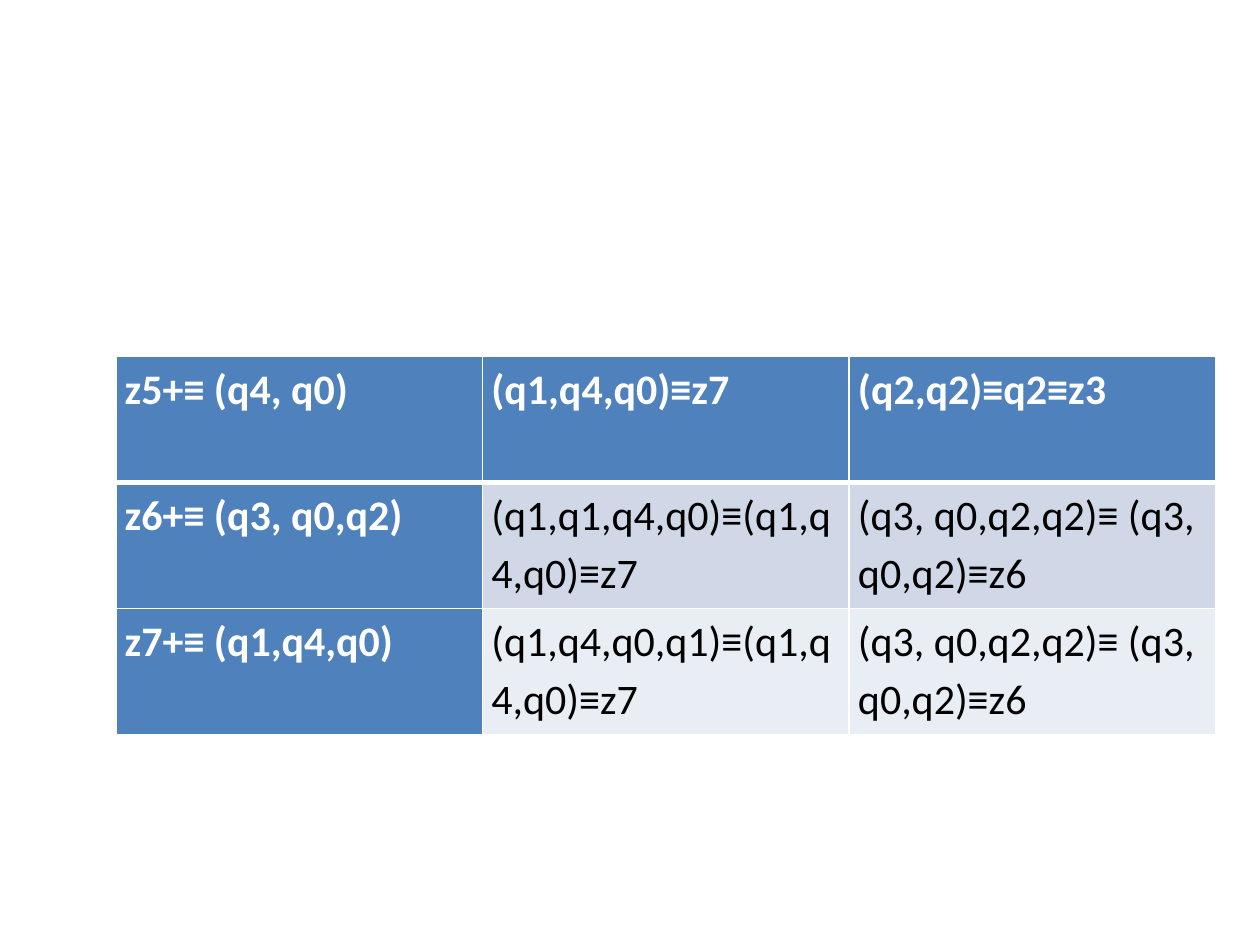
from dataclasses import dataclass

from lxml import etree
from pptx import Presentation
from pptx.dml.color import RGBColor
from pptx.oxml.ns import qn
from pptx.util import Inches, Pt


@dataclass(frozen=True)
class Theme:
    font: str = "Calibri"
    size: int = 24
    line_spacing: float = 1.15
    header: str = "4F81BD"
    bands: tuple = ("D0D8E8", "E9EDF4")
    light: str = "FFFFFF"
    dark: str = "000000"
    border: int = 1
    header_border: int = 3


THEME = Theme()

TRANSITIONS = [
    ["z5+≡ (q4, q0)", "(q1,q4,q0)≡z7", "(q2,q2)≡q2≡z3"],
    ["z6+≡ (q3, q0,q2)", "(q1,q1,q4,q0)≡(q1,q4,q0)≡z7", "(q3, q0,q2,q2)≡ (q3, q0,q2)≡z6"],
    ["z7+≡ (q1,q4,q0)", "(q1,q4,q0,q1)≡(q1,q4,q0)≡z7", "(q3, q0,q2,q2)≡ (q3, q0,q2)≡z6"],
]


def write_text(frame, text, *, color, bold=False):
    para = frame.paragraphs[0]
    para.line_spacing = THEME.line_spacing
    span = para.add_run()
    span.text = text
    span.font.name = THEME.font
    span.font.size = Pt(THEME.size)
    span.font.bold = bold
    span.font.color.rgb = RGBColor.from_string(color)


def set_borders(cell, **widths):
    """Draw cell borders; widths maps the sides L, R, T, B, in that order, to points."""
    properties = cell._tc.get_or_add_tcPr()
    for index, (side, width) in enumerate(widths.items()):
        line = etree.Element(qn(f"a:ln{side}"), w=str(Pt(width)))
        fill = etree.SubElement(line, qn("a:solidFill"))
        etree.SubElement(fill, qn("a:srgbClr"), val=THEME.light)
        properties.insert(index, line)


def style_cell(cell, text, row, column):
    is_header = row == 0 or column == 0
    fill = THEME.header if is_header else THEME.bands[(row - 1) % 2]
    cell.fill.solid()
    cell.fill.fore_color.rgb = RGBColor.from_string(fill)
    cell.margin_left = cell.margin_right = Inches(0.07)
    cell.margin_top = cell.margin_bottom = 0
    write_text(cell.text_frame, text,
               color=THEME.light if is_header else THEME.dark, bold=is_header)
    set_borders(cell, L=THEME.border, R=THEME.border,
                T=THEME.header_border if row == 1 else THEME.border,
                B=THEME.header_border if row == 0 else THEME.border)


def add_transition_table(page, rows, left, top, width, height):
    column_count = len(rows[0])
    table = page.shapes.add_table(len(rows), column_count, left, top, width, height).table
    table.first_row = table.first_col = table.horz_banding = True
    for row, texts in enumerate(rows):
        for column, text in enumerate(texts):
            style_cell(table.cell(row, column), text, row, column)


def main():
    deck = Presentation()
    deck.slide_width, deck.slide_height = Inches(10), Inches(7.5)
    page = deck.slides.add_slide(deck.slide_layouts[6])
    add_transition_table(page, TRANSITIONS, Inches(0.92), Inches(2.83), Inches(8.73), Inches(3))
    deck.save("out.pptx")


if __name__ == "__main__":
    main()
